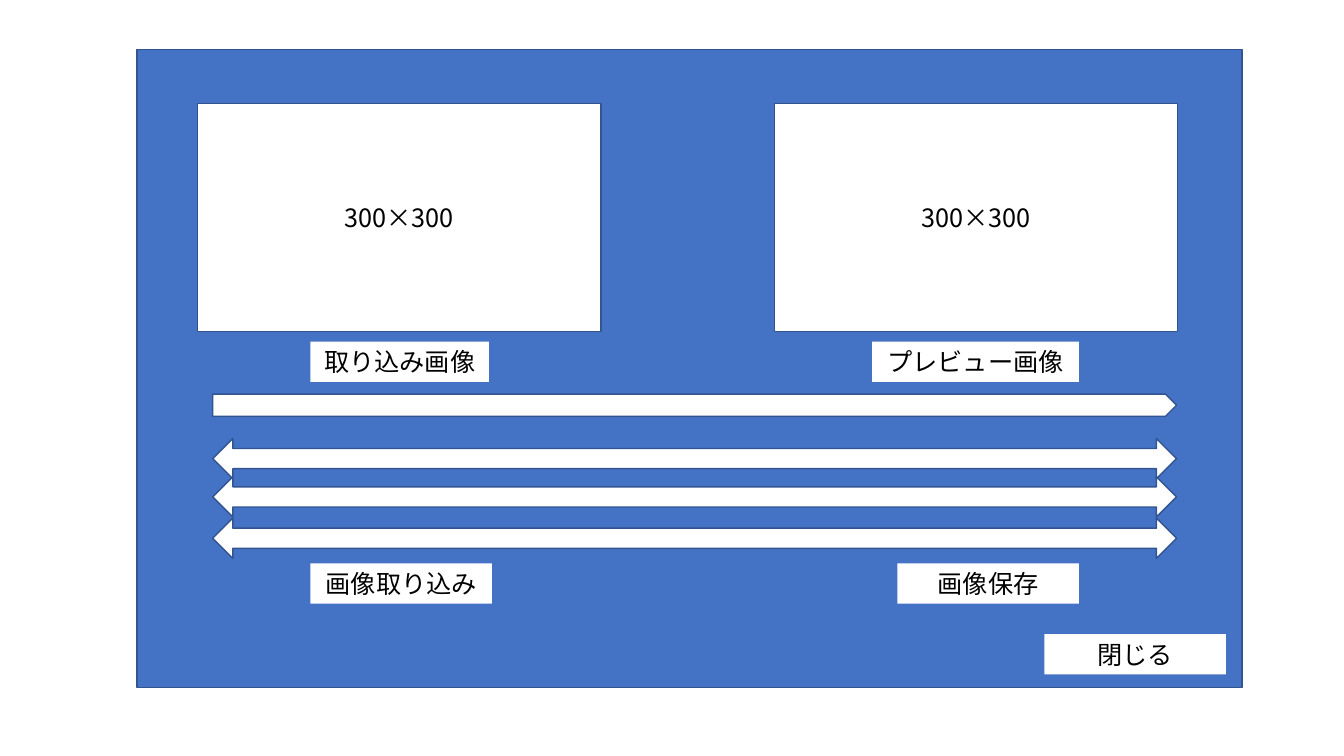
from lxml import etree
from pptx import Presentation
from pptx import util as u
from pptx.dml.color import RGBColor
from pptx.enum import shapes, text
from pptx.oxml import ns

PX = 9144  # EMU, 100 px to the inch
FONT = "Noto Sans CJK JP"
BLUE = RGBColor(0x44, 0x72, 0xC4)
NAVY = RGBColor(0x32, 0x54, 0x91)
WHITE = RGBColor(0xFF, 0xFF, 0xFF)
BLACK = RGBColor(0x00, 0x00, 0x00)
KIND = shapes.MSO_SHAPE


def add_block(page, kind, box, fill=WHITE):
    """Outlined preset shape in a (left, top, width, height) box of px."""
    block = page.shapes.add_shape(kind, *(u.Emu(side * PX) for side in box))
    block.shadow.inherit = False
    block.fill.solid()
    block.fill.fore_color.rgb = fill
    block.line.color.rgb = NAVY
    block.line.width = u.Pt(1)
    return block


def write(shape, wording):
    frame = shape.text_frame
    frame.text = wording
    frame.word_wrap = True
    frame.vertical_anchor = text.MSO_ANCHOR.MIDDLE
    frame.margin_top = frame.margin_bottom = 0
    para = frame.paragraphs[0]
    para.alignment = text.PP_ALIGN.CENTER
    span = para.runs[0]
    span.font.size = u.Pt(18)
    span.font.name = FONT
    span.font.color.rgb = BLACK
    # East Asian glyphs take their typeface from a:ea
    etree.SubElement(span.font._element, ns.qn("a:ea"), typeface=FONT)


def add_label(page, wording, left, top, width=180):
    label = page.shapes.add_textbox(*(u.Emu(side * PX) for side in (left, top, width, 40)))
    label.fill.solid()
    label.fill.fore_color.rgb = WHITE
    write(label, wording)


def add_image_areas(page, left, top):
    for offset in (0, 572):
        area = add_block(page, KIND.RECTANGLE, (left + offset, top, 400, 226))
        write(area, "300×300")
    add_label(page, "取り込み画像", left + 112, top + 236, 177)
    add_label(page, "プレビュー画像", left + 669, top + 236, 205)


def add_sliders(page, left, top, width):
    add_block(page, KIND.PENTAGON, (left, top, width, 22))
    for offset in (44, 82, 123):
        add_block(page, KIND.LEFT_RIGHT_ARROW, (left, top + offset, width, 40))


def add_buttons(page, left, top):
    add_label(page, "画像取り込み", left, top)
    add_label(page, "画像保存", left + 582, top)
    add_label(page, "閉じる", left + 728, top + 70)


def add_window(page, left, top, width, height):
    add_block(page, KIND.RECTANGLE, (left, top, width, height), BLUE)
    add_image_areas(page, left + 60, top + 54)
    add_sliders(page, left + 75, top + 342, width - 140)
    add_buttons(page, left + 172, top + 510)


def main():
    deck = Presentation()
    deck.slide_width = u.Emu(1333 * PX)
    deck.slide_height = u.Emu(750 * PX)
    page = deck.slides.add_slide(deck.slide_layouts[6])
    add_window(page, 136, 49, 1096, 633)
    deck.save("out.pptx")


if __name__ == "__main__":
    main()
